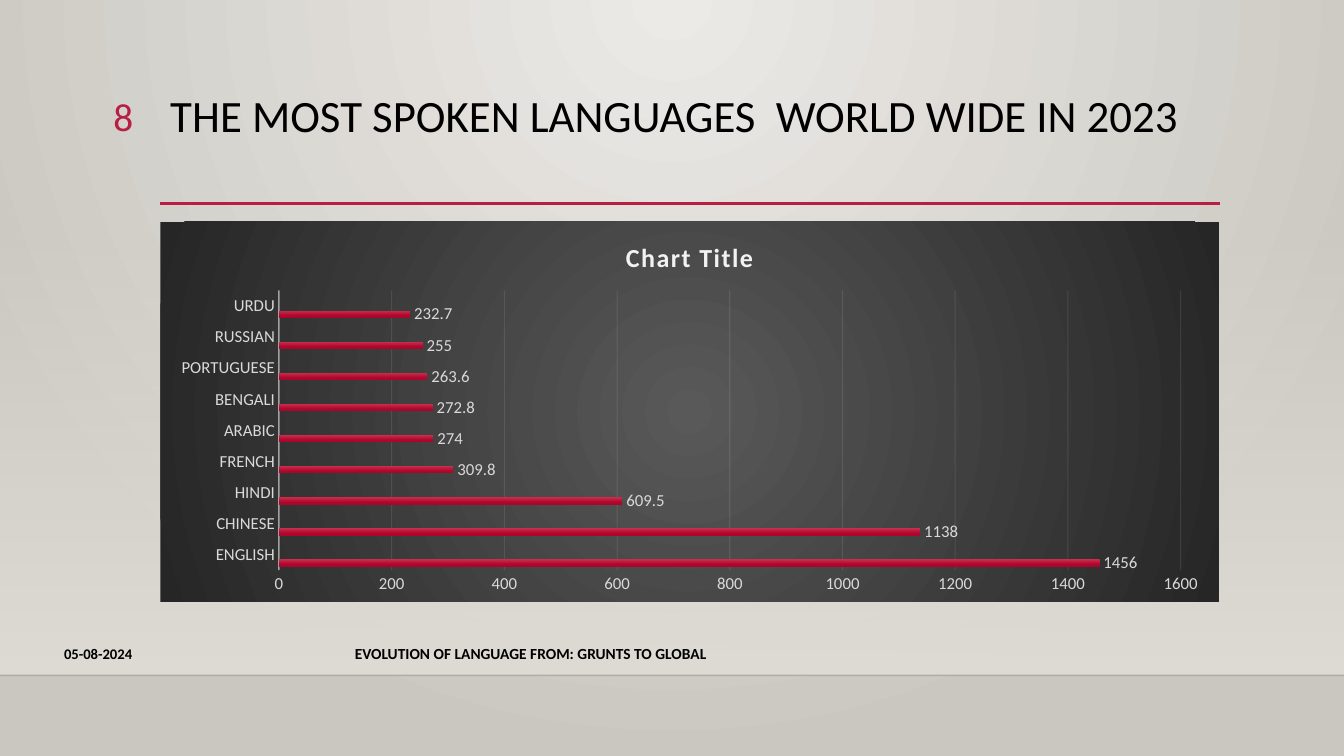
"""Build the slide on the most spoken languages of 2023."""
from dataclasses import dataclass
from typing import Any

from lxml import etree
from pptx import Presentation
from pptx.chart.data import CategoryChartData
from pptx.dml.color import RGBColor
from pptx.enum.chart import XL_CHART_TYPE, XL_LABEL_POSITION, XL_TICK_MARK
from pptx.enum.shapes import MSO_CONNECTOR, MSO_SHAPE
from pptx.enum.text import MSO_ANCHOR, PP_ALIGN
from pptx.oxml.ns import qn
from pptx.util import Inches, Pt

BAR_CLUSTERED = XL_CHART_TYPE.BAR_CLUSTERED
OUTSIDE_END = XL_LABEL_POSITION.OUTSIDE_END
NO_TICK = XL_TICK_MARK.NONE
STRAIGHT = MSO_CONNECTOR.STRAIGHT
RECTANGLE = MSO_SHAPE.RECTANGLE
TOP, MIDDLE = MSO_ANCHOR.TOP, MSO_ANCHOR.MIDDLE
LEFT, RIGHT = PP_ALIGN.LEFT, PP_ALIGN.RIGHT

FONT = "Calibri"
BLACK, CRIMSON, PALE, LIGHT = "000000", "B71E42", "D9D9D9", "F2F2F2"
SLIDE_WIDTH, SLIDE_HEIGHT = 13.33, 7.5
CONTENT_LEFT, CONTENT_WIDTH = 1.59, 10.5
FLOOR = 6.7
BAND_TOP = 2.21

LANGUAGES = {
    "ENGLISH": 1456, "CHINESE": 1138, "HINDI": 609.5, "FRENCH": 309.8, "ARABIC": 274,
    "BENGALI": 272.8, "PORTUGUESE": 263.6, "RUSSIAN": 255, "URDU": 232.7,
}


@dataclass(frozen=True)
class Stop:
    position: int
    color: str
    opacity: int = 100


@dataclass(frozen=True)
class Gradient:
    stops: tuple[Stop, ...]
    center: tuple[int, int, int, int] | None = None


@dataclass(frozen=True)
class Rule:
    left: float
    right: float
    top: float
    color: str
    width: float
    opacity: int = 100


BACKDROP = Gradient((Stop(0, "ECEAE7"), Stop(100, "CAC7C1")), (43, 0, 43, 100))
BAND = Gradient((Stop(0, "DFDBD5", 0), Stop(100, "DFDBD5")))
PANEL = Gradient((Stop(0, "595959"), Stop(100, "262626")), (50, 50, 50, 50))
SERIES_FILLS = [
    Gradient((Stop(0, "C7304C"), Stop(69, "B3062F"), Stop(100, "AA062C"))),
    Gradient((Stop(0, "E75597"), Stop(69, "E51A79"), Stop(100, "CF2374"))),
    Gradient((Stop(0, "C57FF7"), Stop(69, "AA41F3"), Stop(100, "A13FE5"))),
]
RULES = [
    Rule(0, SLIDE_WIDTH, FLOOR, BLACK, 1, 20),
    Rule(CONTENT_LEFT, 12.1, 2.02, CRIMSON, 2.5),
]


def rgb(color: str) -> RGBColor:
    return RGBColor.from_string(color)


def add_opacity(color_element: Any, percent: int) -> None:
    if percent < 100:
        etree.SubElement(color_element, qn("a:alpha"), val=str(percent * 1000))


def set_gradient(properties: Any, gradient: Gradient) -> None:
    """Replace the solid fill of a properties element, or add to an empty one."""
    fill = etree.Element(qn("a:gradFill"), rotWithShape="1")
    stop_list = etree.SubElement(fill, qn("a:gsLst"))
    for stop in gradient.stops:
        mark = etree.SubElement(stop_list, qn("a:gs"), pos=str(stop.position * 1000))
        color = etree.SubElement(mark, qn("a:srgbClr"), val=stop.color)
        add_opacity(color, stop.opacity)
    if gradient.center:
        circle = etree.SubElement(fill, qn("a:path"), path="circle")
        sides = {side: str(value * 1000) for side, value in zip("ltrb", gradient.center)}
        etree.SubElement(circle, qn("a:fillToRect"), sides)
    else:
        etree.SubElement(fill, qn("a:lin"), ang="5400000", scaled="0")
    solid = properties.find(qn("a:solidFill"))
    if solid is None:
        properties.append(fill)
    else:
        properties.replace(solid, fill)


def style_line(line: Any, owner: Any, color: str, width: float, opacity: int) -> None:
    line.color.rgb = rgb(color)
    line.width = Pt(width)
    add_opacity(owner.xpath(".//a:ln/a:solidFill/a:srgbClr")[0], opacity)


def style_font(font: Any, size: float, color: str, bold: bool = False) -> None:
    font.name = FONT
    font.size = Pt(size)
    font.bold = bold
    font.color.rgb = rgb(color)


def add_text(page: Any, text: str, *, left: float, top: float, width: float, height: float,
             size: float, color: str = BLACK, bold: bool = False, align: PP_ALIGN = LEFT,
             anchor: MSO_ANCHOR = TOP, spacing: float = 1.0) -> None:
    box = page.shapes.add_textbox(Inches(left), Inches(top), Inches(width), Inches(height))
    frame = box.text_frame
    frame.word_wrap = True
    frame.vertical_anchor = anchor
    para = frame.paragraphs[0]
    para.alignment = align
    para.line_spacing = spacing
    span = para.add_run()
    span.text = text
    style_font(span.font, size, color, bold)


def add_rule(page: Any, rule: Rule) -> None:
    line = page.shapes.add_connector(
        STRAIGHT, Inches(rule.left), Inches(rule.top), Inches(rule.right), Inches(rule.top))
    style_line(line.line, line.element, rule.color, rule.width, rule.opacity)
    etree.SubElement(line.element.spPr, qn("a:effectLst"))


def add_backdrop(page: Any) -> None:
    page.background.fill.solid()
    set_gradient(page.element.xpath(".//p:bgPr")[0], BACKDROP)
    band = page.shapes.add_shape(
        RECTANGLE, 0, Inches(BAND_TOP), Inches(SLIDE_WIDTH), Inches(FLOOR - BAND_TOP))
    band.shadow.inherit = False
    band.line.fill.background()
    band.fill.solid()
    set_gradient(band.element.spPr, BAND)


def add_language_chart(page: Any) -> None:
    data = CategoryChartData()
    data.categories = list(LANGUAGES)
    data.add_series("Series 1", list(LANGUAGES.values()))
    for name in ("Series 2", "Series 3"):
        data.add_series(name, [None] * len(LANGUAGES))
    chart = page.shapes.add_chart(
        BAR_CLUSTERED, Inches(CONTENT_LEFT), Inches(2.2), Inches(CONTENT_WIDTH),
        Inches(3.77), data).chart
    style_font(chart.font, 10, BLACK)
    chart.has_legend = False

    panel = etree.Element(qn("c:spPr"))
    set_gradient(panel, PANEL)
    etree.SubElement(etree.SubElement(panel, qn("a:ln")), qn("a:noFill"))
    chart.element.find(qn("c:chart")).addnext(panel)

    chart.has_title = True
    span = chart.chart_title.text_frame.paragraphs[0].add_run()
    span.text = "Chart Title"
    style_font(span.font, 18.6, LIGHT, bold=True)
    span.font._element.set("spc", "100")
    chart.chart_title.include_in_layout = False

    category_axis, value_axis = chart.category_axis, chart.value_axis
    for axis in (category_axis, value_axis):
        axis.major_tick_mark = axis.minor_tick_mark = NO_TICK
        style_font(axis.tick_labels.font, 12, PALE)
    style_line(category_axis.format.line, category_axis._element, LIGHT, 1, 54)
    grid = value_axis.major_gridlines.format.line
    style_line(grid, value_axis._element, LIGHT, 0.75, 10)
    value_axis.format.line.fill.background()

    plot = chart.plots[0]
    plot.vary_by_categories = False
    plot.gap_width, plot.overlap = 115, -20
    for series, gradient in zip(plot.series, SERIES_FILLS):
        series.format.fill.solid()
        set_gradient(series._element.spPr, gradient)
        labels = series.data_labels
        labels.show_value = True
        labels.position = OUTSIDE_END
        style_font(labels.font, 12, PALE)


def main() -> None:
    deck = Presentation()
    deck.slide_width, deck.slide_height = Inches(SLIDE_WIDTH), Inches(SLIDE_HEIGHT)
    page = deck.slides.add_slide(deck.slide_layouts[6])
    add_backdrop(page)
    for rule in RULES:
        add_rule(page, rule)
    add_text(page, "THE MOST SPOKEN LANGUAGES  WORLD WIDE IN 2023", left=CONTENT_LEFT,
             top=0.88, width=CONTENT_WIDTH, height=1.15, size=32, spacing=0.9)
    add_language_chart(page)
    add_text(page, "05-08-2024", left=0, top=6.31, width=1.41, height=0.34, size=10.5,
             bold=True, align=RIGHT, anchor=MIDDLE)
    add_text(page, "EVOLUTION OF LANGUAGE FROM: GRUNTS TO GLOBAL", left=3.42, top=6.31,
             width=6.49, height=0.34, size=11, bold=True, anchor=MIDDLE)
    add_text(page, "8", left=0.53, top=0.87, width=0.89, height=0.55, size=28,
             color=CRIMSON, align=RIGHT)
    deck.save("out.pptx")


if __name__ == "__main__":
    main()
